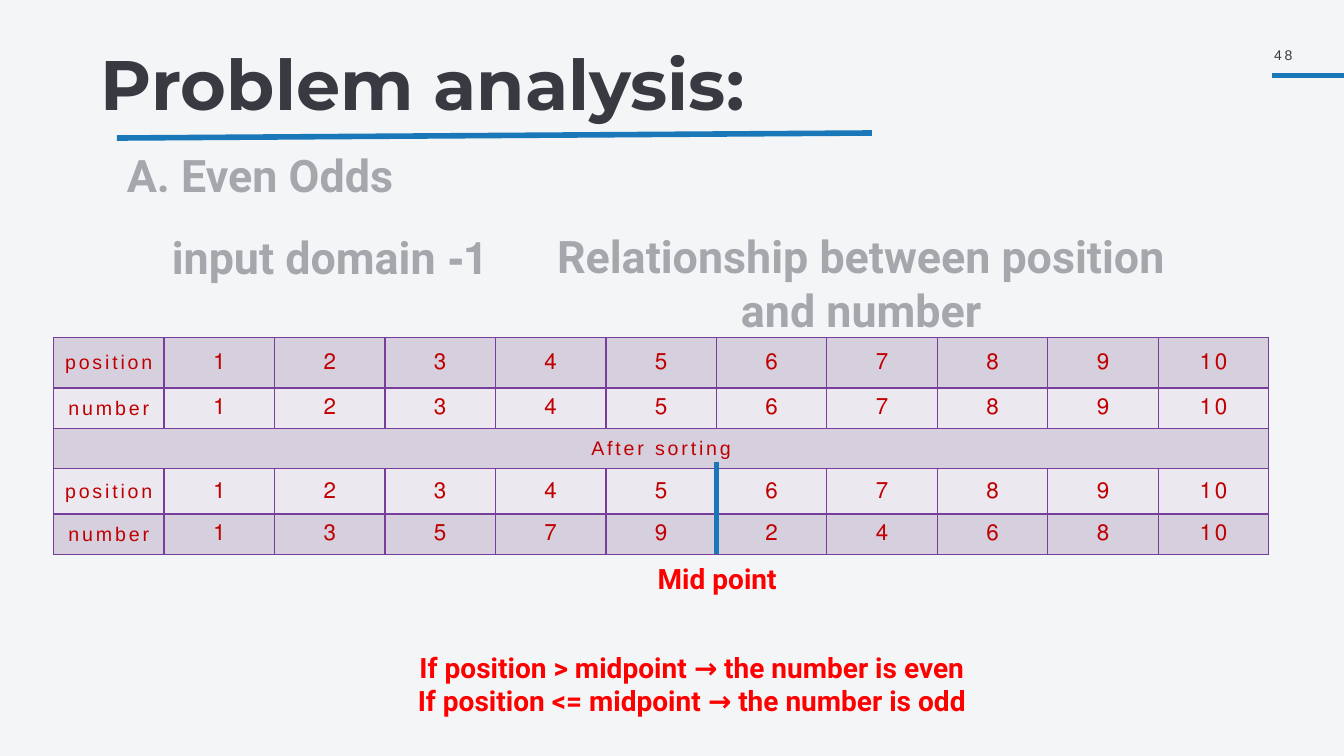
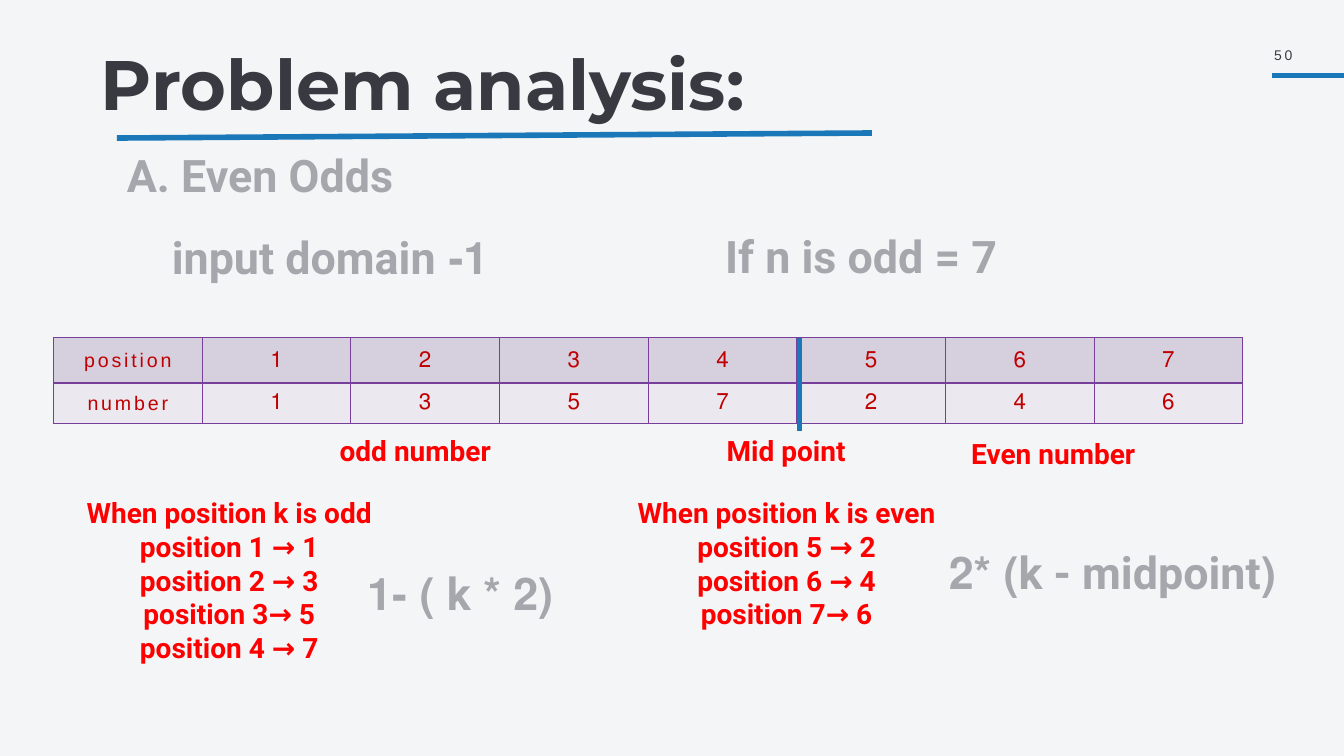
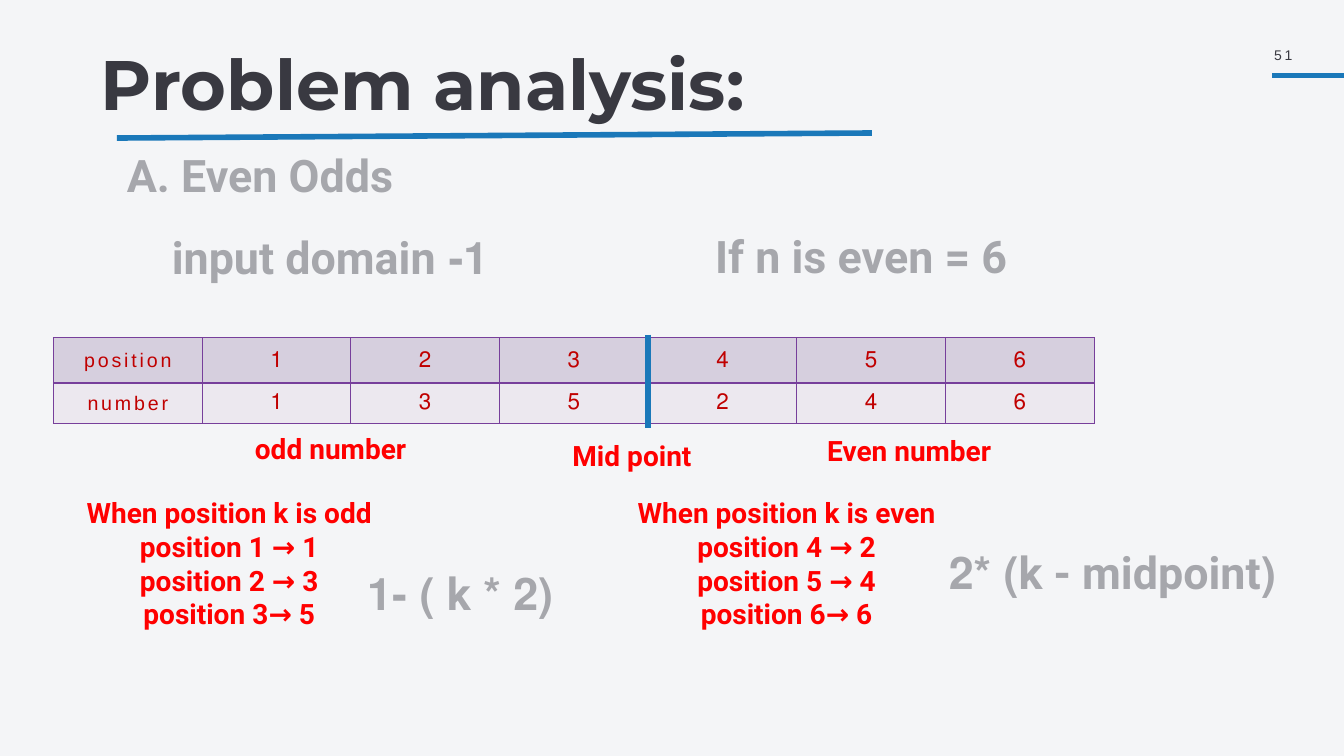
"""Builds three slides that analyse the Even Odds problem."""
import pptx
import pptx.dml.color
import pptx.enum.shapes
import pptx.enum.text
import pptx.oxml
import pptx.oxml.ns
import pptx.util

Pt = pptx.util.Pt
ALIGN = pptx.enum.text.PP_ALIGN
FIT = pptx.enum.text.MSO_AUTO_SIZE
NAMESPACE = pptx.oxml.ns.nsdecls("a")

COLOURS = {
    "background": "F4F5F7", "accent": "1A78B9", "dark": "393941", "grey": "A6A7AC",
    "red": "FF0000", "cell_text": "C00000", "border": "773F9B",
    "band_dark": "D6CFDE", "band_light": "ECE8EF",
}
STYLES = {
    "title": {"colour": "dark", "font": {"name": "Montserrat", "size": Pt(50), "bold": True}},
    "page": {"colour": "dark", "spacing": 2, "font": {"name": "Arial", "size": Pt(10)}},
    "heading": {"colour": "grey", "font": {"name": "Roboto", "size": Pt(32), "bold": True}},
    "note": {"colour": "red", "font": {"name": "Roboto", "size": Pt(20), "bold": True}},
    "label": {"colour": "cell_text", "spacing": 2, "font": {"name": "Arial", "size": Pt(14)}},
    "value": {"colour": "cell_text", "spacing": 2, "font": {"name": "Arial", "size": Pt(16)}},
}
SLIDE_SIZE = (960, 540)
TABLE_LEFT, TABLE_TOP = 38.2, 241.2
WIDE, NARROW = 487.4, 148.3
ODD_RULE = ("heading", (193.7, 400.3, 270, 46), ["(2 * k ) -1"])
EVEN_RULE = ("heading", (625.7, 385.2, 337.7, 46), ["(k - midpoint) *2"])
ODD_CASES = ["When position k is odd", "position 1 → 1", "position 2 → 3", "position 3→ 5"]
ODD_PLACE = (-79.9, 350.6, WIDE)
EVEN_PLACE = (318.2, 350.6, WIDE, 104.4)

SLIDES = [
    {
        "page": "48",
        "topic": ["Relationship between position and number"],
        "column": 78.94,
        "row_heights": [36, 28.8, 28.8, 32.4, 28.8],
        "rows": [
            ["position", *range(1, 11)],
            ["number", *range(1, 11)],
            ["After sorting"],
            ["position", *range(1, 11)],
            ["number", 1, 3, 5, 7, 9, 2, 4, 6, 8, 10],
        ],
        "midline": (511.9, 329.8, 396),
        "texts": [
            ("note", (268.6, 397.4, WIDE, 31.7), ["Mid point"]),
            ("note", (250.6, 460.8, WIDE, 79.9), [
                "If position > midpoint → the number is even",
                "If position <= midpoint → the number is odd",
            ]),
        ],
    },
    {
        "page": "50",
        "topic": ["If n is odd = 7"],
        "column": 106.2,
        "row_heights": [32.4, 28.8],
        "rows": [["position", *range(1, 8)], ["number", 1, 3, 5, 7, 2, 4, 6]],
        "midline": (571, 241.2, 308.2),
        "texts": [
            ("note", (487.4, 306, NARROW, 31.7), ["Mid point"]),
            ("note", (*ODD_PLACE, 152.6), [*ODD_CASES, "position 4 → 7"]),
            ("note", (678.2, 308.2, NARROW, 31.7), ["Even number"]),
            ("note", (222.5, 306, NARROW, 31.7), ["odd number"]),
            ODD_RULE,
            ("note", EVEN_PLACE, [
                "When position k is even", "position 5 → 2", "position 6 → 4", "position 7→ 6",
            ]),
            EVEN_RULE,
        ],
    },
    {
        "page": "51",
        "topic": ["If n is even = 6"],
        "column": 106.2,
        "row_heights": [32.4, 28.8],
        "rows": [["position", *range(1, 7)], ["number", 1, 3, 5, 2, 4, 6]],
        "midline": (463, 239, 306),
        "texts": [
            ("note", (377.3, 309.6, NARROW, 31.7), ["Mid point"]),
            ("note", (*ODD_PLACE, 128.2), ODD_CASES),
            ("note", (575.3, 306, NARROW, 31.7), ["Even number"]),
            ("note", (162, 304.6, NARROW, 31.7), ["odd number"]),
            ODD_RULE,
            ("note", EVEN_PLACE, [
                "When position k is even", "position 4 → 2", "position 5 → 4", "position 6→ 6",
            ]),
            EVEN_RULE,
        ],
    },
]


def colour(name):
    return pptx.dml.color.RGBColor.from_string(COLOURS[name])


def write(frame, lines, style, centred=True, line_spacing=None):
    values = STYLES[style]
    for index, line in enumerate(lines):
        para = frame.add_paragraph() if index else frame.paragraphs[0]
        para.alignment = ALIGN.CENTER if centred else ALIGN.LEFT
        if centred:
            para._p.get_or_add_pPr().set("rtl", "1")
        if line_spacing:
            para.line_spacing = line_spacing
        span = para.add_run()
        span.text = str(line)
        for key, value in values["font"].items():
            setattr(span.font, key, value)
        span.font.color.rgb = colour(values["colour"])
        if "spacing" in values:
            span._r.get_or_add_rPr().set("spc", str(values["spacing"] * 100))


def add_text(page, style, place, lines, inset=None, grow=True, **options):
    frame = page.shapes.add_textbox(*map(Pt, place)).text_frame
    frame.word_wrap = True
    frame.auto_size = FIT.SHAPE_TO_FIT_TEXT if grow else FIT.NONE
    if inset is not None:
        for side in ("left", "top", "right", "bottom"):
            setattr(frame, f"margin_{side}", Pt(inset))
    write(frame, lines, style, **options)


def add_line(page, *ends):
    kind = pptx.enum.shapes.MSO_CONNECTOR.STRAIGHT
    line = page.shapes.add_connector(kind, *map(Pt, ends))
    line.line.color.rgb = colour("accent")
    line.line.width = Pt(4)
    line._element.spPr.append(pptx.oxml.parse_xml(f"<a:effectLst {NAMESPACE}/>"))


def add_borders(cell):
    properties = cell._tc.get_or_add_tcPr()
    for index, side in enumerate(("lnL", "lnR", "lnT", "lnB")):
        properties.insert(index, pptx.oxml.parse_xml(
            f'<a:{side} {NAMESPACE} w="{int(Pt(1))}"><a:solidFill>'
            f'<a:srgbClr val="{COLOURS["border"]}"/></a:solidFill></a:{side}>'))


def add_number_table(page, rows, column, heights):
    count = len(rows[0])
    place = (TABLE_LEFT, TABLE_TOP, column * count, sum(heights))
    table = page.shapes.add_table(len(rows), count, *map(Pt, place)).table
    table.first_row = table.horz_banding = False
    for table_column in table.columns:
        table_column.width = Pt(column)
    for row, values in enumerate(rows):
        table.rows[row].height = Pt(heights[row])
        for index in range(count):
            cell = table.cell(row, index)
            cell.fill.solid()
            cell.fill.fore_color.rgb = colour("band_light" if row % 2 else "band_dark")
            cell.vertical_anchor = pptx.enum.text.MSO_ANCHOR.MIDDLE
            cell.margin_left = cell.margin_right = Pt(3.6)
            add_borders(cell)
        if len(values) == 1:
            table.cell(row, 0).merge(table.cell(row, count - 1))
        for index, value in enumerate(values):
            write(table.cell(row, index).text_frame, [value], "value" if index else "label")


def add_frame(page, number):
    add_line(page, 908.6, 54, SLIDE_SIZE[0], 54)
    add_text(page, "title", (70.6, 38.9, 560.2, 77), ["Problem analysis:"],
             inset=1.4, grow=False, centred=False, line_spacing=0.8)
    add_line(page, 83.5, 98.6, 622.8, 95)
    add_text(page, "page", (907.2, 30.2, 30.2, 18), [number], inset=2.9, centred=False)
    add_text(page, "heading", (83.5, 102.2, WIDE, 46), ["A. Even Odds"], centred=False)


def main():
    deck = pptx.Presentation()
    deck.slide_width, deck.slide_height = map(Pt, SLIDE_SIZE)
    background = deck.slide_master.background.fill
    background.solid()
    background.fore_color.rgb = colour("background")
    for content in SLIDES:
        page = deck.slides.add_slide(deck.slide_layouts[6])
        add_frame(page, content["page"])
        add_text(page, "heading", (371.5, 159.8, WIDE, 46), content["topic"])
        add_text(page, "heading", (-7.9, 160.6, WIDE, 46), ["1- input domain"])
        add_number_table(page, content["rows"], content["column"], content["row_heights"])
        x, top, bottom = content["midline"]
        add_line(page, x, top, x, bottom)
        for style, place, lines in content["texts"]:
            add_text(page, style, place, lines)
    deck.save("out.pptx")


if __name__ == "__main__":
    main()
